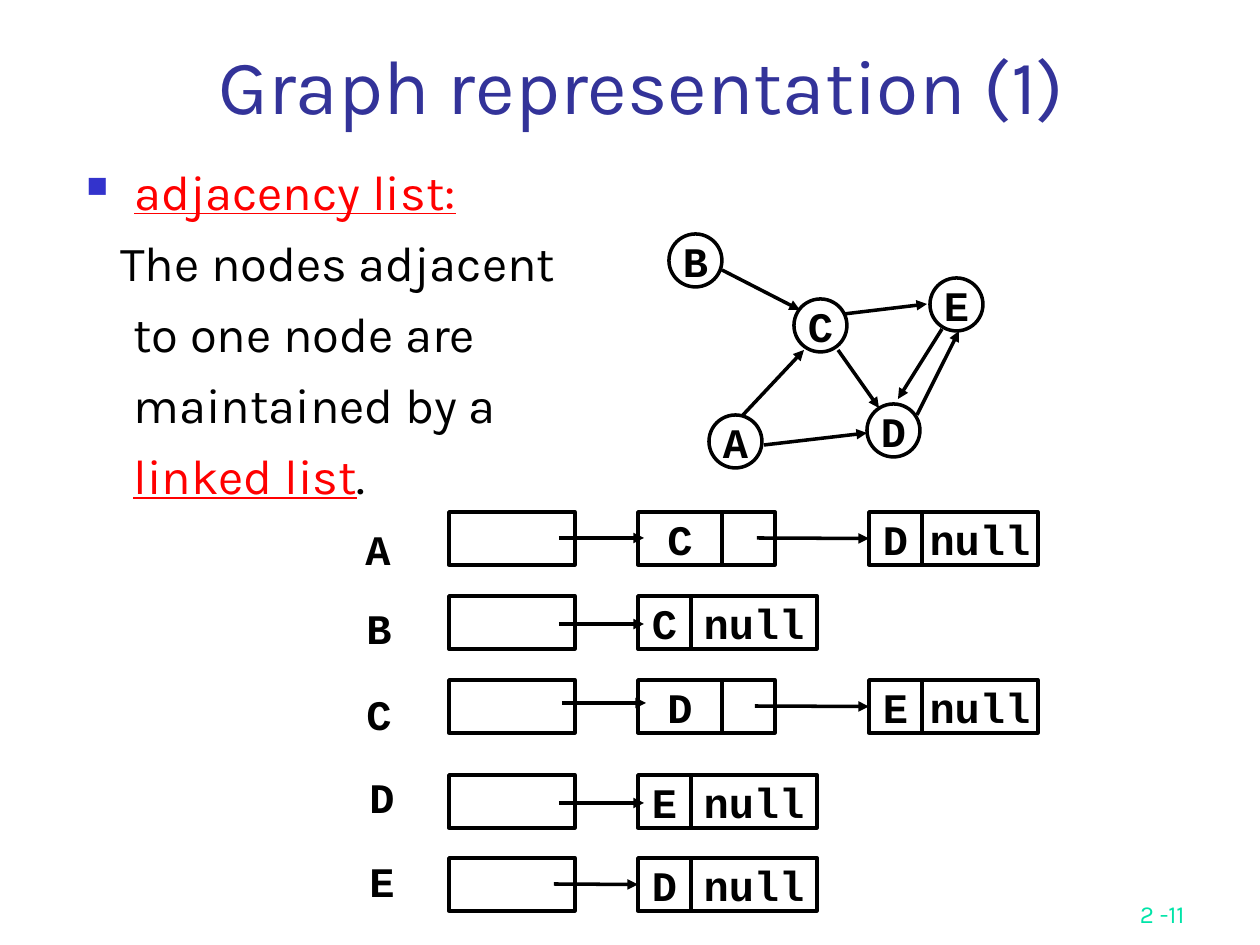
"""Build the slide on adjacency lists with its graph and linked lists."""
import dataclasses
import typing

import lxml.etree
import pptx
import pptx.dml.color
import pptx.enum.shapes
import pptx.enum.text
import pptx.oxml.ns
import pptx.util

RGB = pptx.dml.color.RGBColor
BLACK = RGB(0x00, 0x00, 0x00)
RED = RGB(0xFF, 0x00, 0x00)
NAVY = RGB(0x33, 0x33, 0x99)
BLUE = RGB(0x33, 0x33, 0xCC)
MINT = RGB(0x00, 0xE4, 0xA8)
SANS, MONO = "Karla", "Courier New"
SIDE = 53
Align = pptx.enum.text.PP_ALIGN
Anchor = pptx.enum.text.MSO_ANCHOR
Kind = pptx.enum.shapes.MSO_SHAPE


@dataclasses.dataclass(frozen=True)
class Node:
    name: str
    left: int
    top: int


@dataclasses.dataclass(frozen=True)
class Arrow:
    x1: int
    y1: int
    x2: int
    y2: int


@dataclasses.dataclass(frozen=True)
class Row:
    label: Node
    top: int
    names: str
    links: tuple[Arrow, ...]
    join: bool = False


NODES = (
    Node("B", 669, 234), Node("C", 794, 299), Node("E", 930, 278),
    Node("D", 867, 404), Node("A", 709, 415),
)
EDGES = (
    Arrow(722, 270, 800, 310), Arrow(743, 415, 804, 350),
    Arrow(764, 445, 867, 433), Arrow(838, 350, 879, 408),
    Arrow(942, 329, 898, 399), Arrow(917, 415, 959, 331),
    Arrow(844, 314, 927, 304),
)
ROWS = (
    Row(Node("A", 353, 517), 512, "CD",
        (Arrow(559, 538, 644, 538), Arrow(757, 538, 870, 538)), True),
    Row(Node("B", 354, 596), 596, "C", (Arrow(559, 624, 644, 624),)),
    Row(Node("C", 354, 682), 680, "DE",
        (Arrow(562, 703, 646, 703), Arrow(755, 706, 869, 706)), True),
    Row(Node("D", 357, 765), 775, "E", (Arrow(559, 803, 644, 803),)),
    Row(Node("E", 357, 849), 858, "D", (Arrow(554, 884, 638, 884),), True),
)


def px(n: int) -> pptx.util.Emu:
    """Turn px into EMU."""
    return pptx.util.Emu(round(n * 914400 / 126))


def add_run(para: typing.Any, text: str, size: int, face: str, color: RGB,
            bold: bool = False, under: bool = False) -> None:
    """Add one styled run."""
    run = para.add_run()
    run.text = text
    font = run.font
    font.size, font.name, font.bold = pptx.util.Pt(size), face, bold
    font.underline = under
    font.color.rgb = color


def add_text(shapes: typing.Any, left: int, top: int, wide: int, high: int,
             anchor: Anchor, align: Align, wrap: bool = True) -> typing.Any:
    """Add a text box and return its frame."""
    frame = shapes.add_textbox(px(left), px(top), px(wide), px(high)).text_frame
    frame.word_wrap = wrap
    frame.vertical_anchor = anchor
    frame.paragraphs[0].alignment = align
    return frame


def add_cell(shapes: typing.Any, kind: Kind, left: int, top: int,
             wide: int, text: str = "") -> typing.Any:
    """Add an outlined shape with an optional centred label."""
    cell = shapes.add_shape(kind, px(left), px(top), px(wide), px(SIDE))
    cell.shadow.inherit = False
    cell.fill.background()
    cell.line.color.rgb = BLACK
    cell.line.width = pptx.util.Pt(2)
    if text:
        frame = cell.text_frame
        frame.word_wrap = False
        frame.vertical_anchor = Anchor.MIDDLE
        frame.paragraphs[0].alignment = Align.CENTER
        add_run(frame.paragraphs[0], text, 24, MONO, BLACK, True)
    return cell


def add_arrow(shapes: typing.Any, arrow: Arrow) -> typing.Any:
    """Add a straight line with a triangle at its end."""
    line = shapes.add_connector(
        pptx.enum.shapes.MSO_CONNECTOR.STRAIGHT,
        px(arrow.x1), px(arrow.y1), px(arrow.x2), px(arrow.y2))
    line.line.color.rgb = BLACK
    line.line.width = pptx.util.Pt(2)
    qn = pptx.oxml.ns.qn
    tail = lxml.etree.SubElement(line.line._get_or_add_ln(), qn("a:tailEnd"))
    tail.set("type", "triangle")
    lxml.etree.SubElement(line._element.spPr, qn("a:effectLst"))
    return line


def add_row(shapes: typing.Any, row: Row) -> None:
    """Draw one linked list with its label."""
    label = add_text(shapes, row.label.left, row.label.top, 50, 63,
                     Anchor.TOP, Align.LEFT, False)
    add_run(label.paragraphs[0], row.label.name, 24, MONO, BLACK, True)
    add_cell(shapes, Kind.RECTANGLE, 449, row.top, 126)
    left, wide = 638, 126
    if len(row.names) == 2:
        add_cell(shapes, Kind.RECTANGLE, left, row.top, 84, row.names[0])
        add_cell(shapes, Kind.RECTANGLE, left + 84, row.top, SIDE)
        left, wide = 869, 116
    last = add_cell(shapes, Kind.RECTANGLE, left, row.top, SIDE, row.names[-1])
    add_cell(shapes, Kind.RECTANGLE, left + SIDE, row.top, wide, "null")
    lines = [add_arrow(shapes, link) for link in row.links]
    if row.join:
        lines[-1].end_connect(last, 1)


def add_bullet(para: typing.Any) -> None:
    """Give a paragraph a blue square bullet."""
    props = para._p.get_or_add_pPr()
    qn = pptx.oxml.ns.qn
    color = lxml.etree.SubElement(props, qn("a:buClr"))
    lxml.etree.SubElement(color, qn("a:srgbClr")).set("val", str(BLUE))
    lxml.etree.SubElement(props, qn("a:buSzPct")).set("val", "60000")
    lxml.etree.SubElement(props, qn("a:buChar")).set("char", "■")


def add_body(shapes: typing.Any) -> None:
    """Write the bullet and the lines below it."""
    frame = add_text(shapes, 74, 155, 1111, 694, Anchor.TOP, Align.LEFT)
    lines = (
        (48, (("adjacency list:", True),)),
        (34, (("The nodes adjacent", False),)),
        (47, (("to one node are", False),)),
        (47, (("maintained by a", False),)),
        (47, (("linked list", True), (".", False))),
    )
    for i, (left, parts) in enumerate(lines):
        para = frame.add_paragraph() if i else frame.paragraphs[0]
        props = para._p.get_or_add_pPr()
        props.set("marL", str(px(left)))
        props.set("indent", str(px(0 if i else -left)))
        if i:
            para.space_before = pptx.util.Pt(7)
        else:
            add_bullet(para)
        for text, key in parts:
            add_run(para, text, 28, SANS, RED if key else BLACK, under=key)


def main() -> None:
    """Build and save the slide."""
    deck = pptx.Presentation()
    deck.slide_width, deck.slide_height = px(1260), px(945)
    shapes = deck.slides.add_slide(deck.slide_layouts[6]).shapes
    page = add_text(shapes, 935, 872, 262, 63, Anchor.BOTTOM, Align.RIGHT)
    add_run(page.paragraphs[0], "2 -11", 14, SANS, MINT)
    add_body(shapes)
    title = add_text(shapes, 105, 26, 1074, 110, Anchor.BOTTOM, Align.CENTER)
    add_run(title.paragraphs[0], "Graph representation (1)", 44, SANS, NAVY)
    graph = shapes.add_group_shape().shapes
    for node in NODES:
        add_cell(graph, Kind.OVAL, node.left, node.top, SIDE, node.name)
    for edge in EDGES:
        add_arrow(graph, edge)
    lists = shapes.add_group_shape().shapes
    for row in ROWS:
        add_row(lists, row)
    deck.save("out.pptx")


if __name__ == "__main__":
    main()
